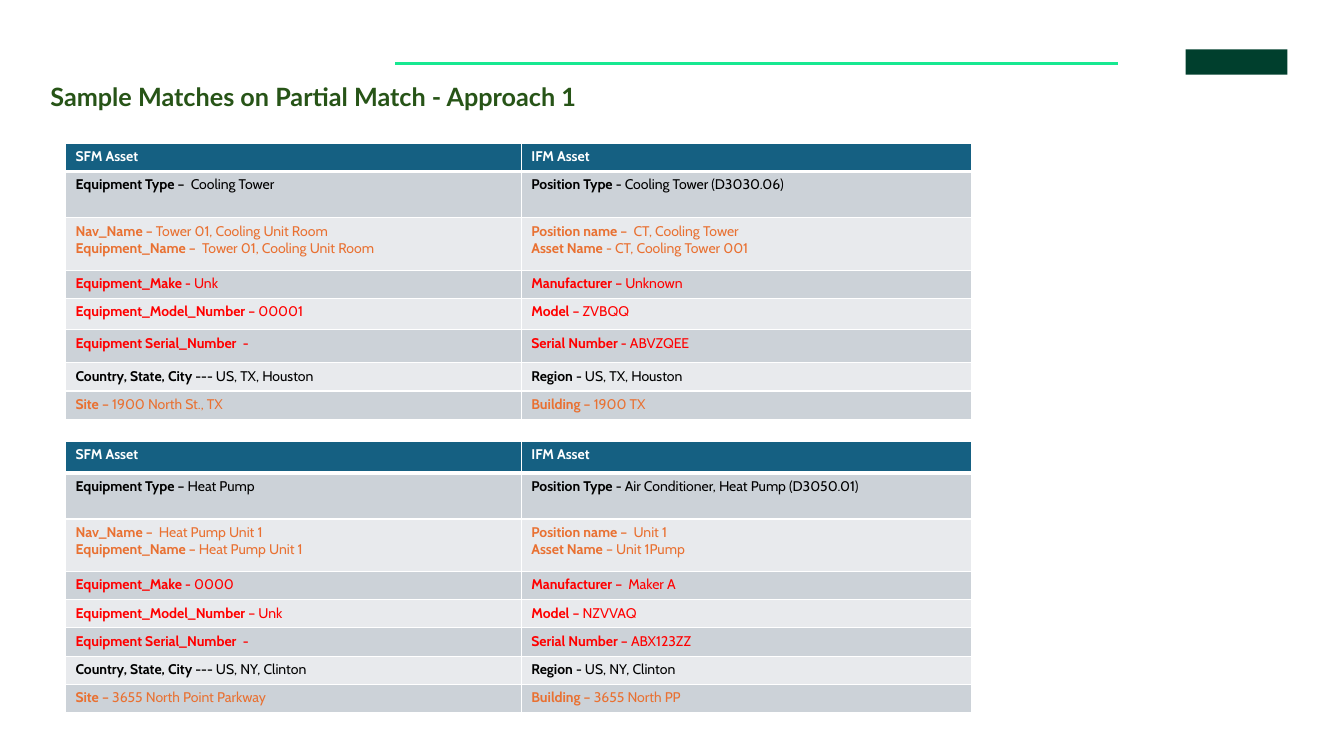
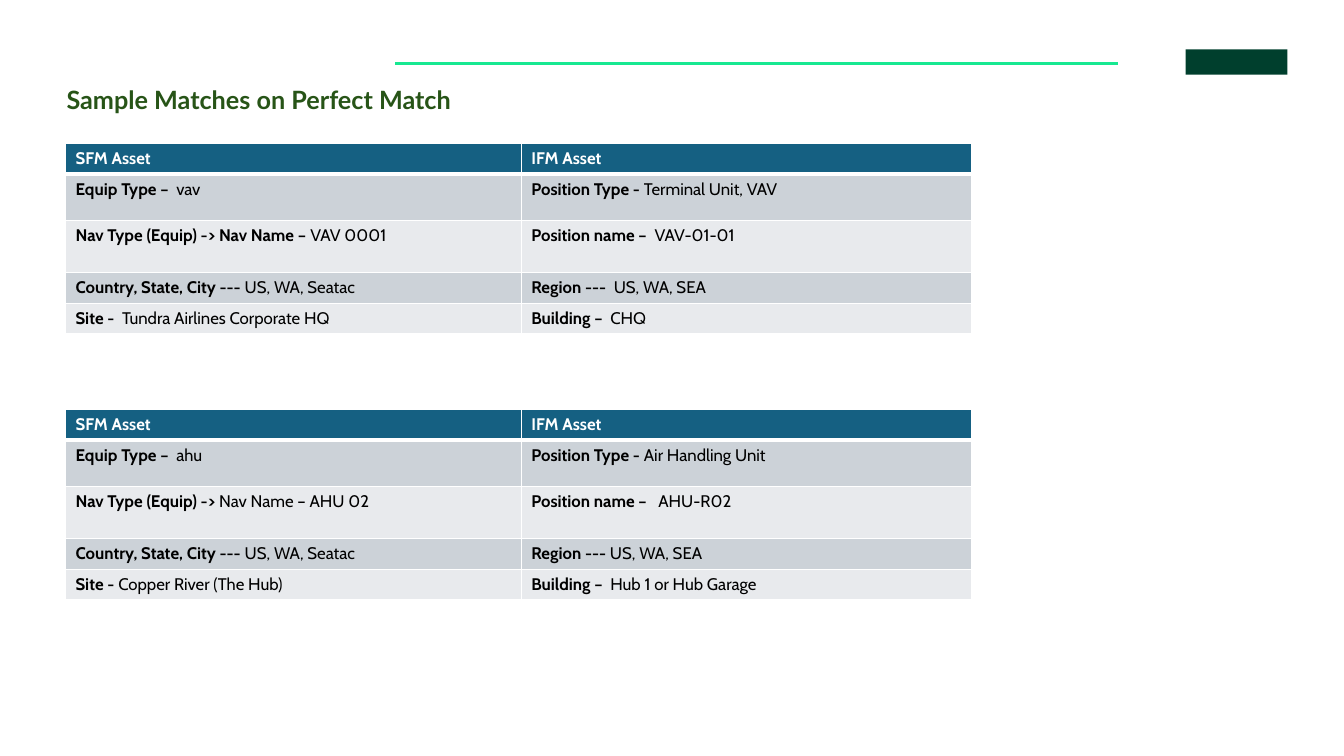
from lxml import etree
from pptx import Presentation
from pptx.dml.color import RGBColor
from pptx.enum import shapes, text
from pptx.oxml import ns
from pptx.util import Inches, Pt

GREEN, LINE, MARK = "275417", "17E891", "003F2D"
HEADER, BANDS = "156082", ("CCD2D8", "E8EAED")
WHITE, BLACK, ORANGE, RED = "FFFFFF", "000000", "E97132", "FF0000"
TITLE_FONT, TABLE_FONT = "Lato", "Cabin"
TABLE_LEFT, COLUMNS = 0.65, (4.52, 4.47)
HEADINGS = ("SFM Asset", "IFM Asset")

# In a cell, "|" ends the bold label and a line break starts a new paragraph.
PARTIAL_COLORS = (BLACK, ORANGE, RED, RED, RED, BLACK, ORANGE)
COOLING_TOWER = [
    ("Equipment Type –  |Cooling Tower", "Position Type - |Cooling Tower (D3030.06)"),
    ("Nav_Name – |Tower 01, Cooling Unit Room\nEquipment_Name –  |Tower 01, Cooling Unit Room",
     "Position name –  |CT, Cooling Tower\nAsset Name |- CT, Cooling Tower 001"),
    ("Equipment_Make - |Unk", "Manufacturer – |Unknown"),
    ("Equipment_Model_Number – |00001", "Model – |ZVBQQ"),
    ("Equipment Serial_Number  -", "Serial Number - |ABVZQEE"),
    ("Country, State, City --- |US, TX, Houston", "Region - |US, TX, Houston"),
    ("Site – |1900 North St., TX", "Building – |1900 TX"),
]
HEAT_PUMP = [
    ("Equipment Type – |Heat Pump", "Position Type - |Air Conditioner, Heat Pump (D3050.01)"),
    ("Nav_Name –  |Heat Pump Unit 1\nEquipment_Name – |Heat Pump Unit 1",
     "Position name –  |Unit 1\nAsset Name |– Unit 1Pump"),
    ("Equipment_Make - |0000", "Manufacturer –  |Maker A"),
    ("Equipment_Model_Number |– Unk", "Model – |NZVVAQ"),
    ("Equipment Serial_Number  -", "Serial Number – |ABX123ZZ"),
    ("Country, State, City --- |US, NY, Clinton", "Region - |US, NY, Clinton"),
    ("Site – |3655 North Point Parkway", "Building – |3655 North PP"),
]

PERFECT_COLORS = (BLACK,) * 4
PERFECT_HEIGHTS = (0.3, 0.46, 0.52, 0.3, 0.3)
VAV = [
    ("Equip Type –  |vav", "Position Type - |Terminal Unit, VAV"),
    ("Nav Type (Equip) -> Nav Name – |VAV 0001", "Position name –  |VAV-01-01"),
    ("Country, State, City --- |US, WA, Seatac", "Region ---  |US, WA, SEA"),
    ("Site -  |Tundra Airlines Corporate HQ", "Building –  |CHQ"),
]
AHU = [
    ("Equip Type –  |ahu", "Position Type - |Air Handling Unit"),
    ("Nav Type (Equip) -> |Nav Name – AHU 02", "Position name –   |AHU-R02"),
    ("Country, State, City --- |US, WA, Seatac", "Region --- |US, WA, SEA"),
    ("Site - |Copper River (The Hub)", "Building –  |Hub 1 or Hub Garage"),
]


def rgb(color):
    return RGBColor.from_string(color)


def set_font(font, color, **values):
    font.color.rgb = rgb(color)
    for name, value in values.items():
        setattr(font, name, value)


def add_header_band(slide):
    line = slide.shapes.add_connector(shapes.MSO_CONNECTOR.STRAIGHT, Inches(3.92),
                                      Inches(0.63), Inches(11.09), Inches(0.63))
    line.line.color.rgb = rgb(LINE)
    line.line.width = Pt(2.5)
    etree.SubElement(line._element.spPr, ns.qn("a:effectLst"))
    mark = slide.shapes.add_shape(shapes.MSO_SHAPE.RECTANGLE, Inches(11.76),
                                  Inches(0.49), Inches(1.01), Inches(0.25))
    mark.shadow.inherit = False
    mark.fill.solid()
    mark.fill.fore_color.rgb = rgb(MARK)
    mark.line.fill.background()


def set_title(slide, title, left, top):
    sp = slide.shapes.title
    box = dict(left=left, top=top, width=6.96, height=0.4)
    for name, value in box.items():
        setattr(sp, name, Inches(value))
    tf = sp.text_frame
    frame = dict(text=title, word_wrap=True, auto_size=text.MSO_AUTO_SIZE.NONE,
                 vertical_anchor=text.MSO_ANCHOR.TOP)
    for name, value in frame.items():
        setattr(tf, name, value)
    p = tf.paragraphs[0]
    p.alignment = text.PP_ALIGN.LEFT
    set_font(p.runs[0].font, GREEN, name=TITLE_FONT, size=Pt(18), bold=True)


def set_borders(cell, top=1, bottom=1):
    """White cell borders, widths in points; they must precede the fill."""
    widths = dict(lnL=1, lnR=1, lnT=top, lnB=bottom)
    tc_pr = cell._tc.get_or_add_tcPr()
    for i, (tag, width) in enumerate(widths.items()):
        ln = etree.Element(ns.qn(f"a:{tag}"), w=str(Pt(width)))
        fill = etree.SubElement(ln, ns.qn("a:solidFill"))
        etree.SubElement(fill, ns.qn("a:srgbClr"), val=WHITE)
        tc_pr.insert(i, ln)


def fill_cell(cell, content, fill, color, size):
    cell.fill.solid()
    cell.fill.fore_color.rgb = rgb(fill)
    tf = cell.text_frame
    for i, line in enumerate(content.split("\n")):
        p = tf.add_paragraph() if i else tf.paragraphs[0]
        for j, part in enumerate(line.split("|")):
            r = p.add_run()
            r.text = part
            set_font(r.font, color, name=TABLE_FONT, size=Pt(size), bold=j == 0)


def add_match_table(slide, top, heights, rows, colors, size):
    table = slide.shapes.add_table(len(heights), len(COLUMNS), Inches(TABLE_LEFT),
                                   Inches(top), Inches(sum(COLUMNS)),
                                   Inches(sum(heights))).table
    table.horz_banding = False
    for column, width in zip(table.columns, COLUMNS):
        column.width = Inches(width)
    fills = [HEADER] + [BANDS[i % 2] for i in range(len(rows))]
    lines = zip(heights, [HEADINGS, *rows], fills, (WHITE, *colors))
    for i, (height, contents, fill, color) in enumerate(lines):
        table.rows[i].height = Inches(height)
        for j, content in enumerate(contents):
            cell = table.cell(i, j)
            fill_cell(cell, content, fill, color, size)
            set_borders(cell, top=3 if i == 1 else 1, bottom=3 if i == 0 else 1)


def add_match_slide(prs, title, left, top, tables, colors, size):
    slide = prs.slides.add_slide(prs.slide_layouts[5])
    add_header_band(slide)
    set_title(slide, title, left, top)
    for table_top, heights, rows in tables:
        add_match_table(slide, table_top, heights, rows, colors, size)


def main():
    prs = Presentation()
    prs.slide_width, prs.slide_height = Inches(13.33), Inches(7.5)
    add_match_slide(
        prs, "Sample Matches on Partial Match - Approach 1", 0.4, 0.76,
        [(1.42, (0.28, 0.46, 0.52, 0.28, 0.31, 0.33, 0.28, 0.28), COOLING_TOWER),
         (4.38, (0.31, 0.46, 0.52) + (0.28,) * 5, HEAT_PUMP)],
        PARTIAL_COLORS, 10)
    add_match_slide(
        prs, "Sample Matches on Perfect Match", 0.56, 0.79,
        [(1.42, PERFECT_HEIGHTS, VAV), (4.06, PERFECT_HEIGHTS, AHU)],
        PERFECT_COLORS, 12)
    prs.save("out.pptx")


if __name__ == "__main__":
    main()
